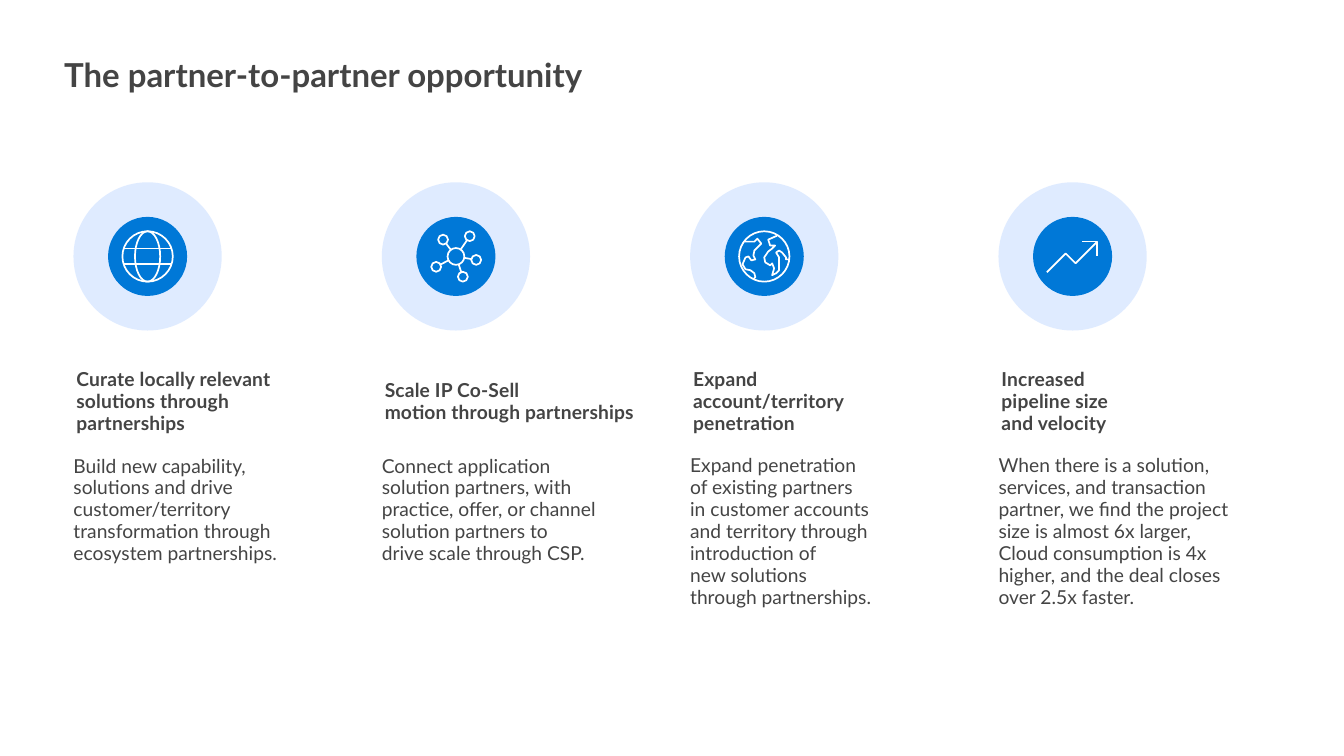
import math
import pptx
import pptx.util
import pptx.dml.color
import pptx.enum.shapes
import pptx.enum.text
import pptx.oxml.ns
import lxml.etree

WIDE, HIGH = 13.6, 7.65
TINT = {"text": "444444", "halo": "D4E5FF", "badge": "0078D7", "line": "FFFFFF"}
FONT = "Lato"
TITLE = "The partner-to-partner opportunity"

CARDS = [
    {"icon": "globe", "tall": 0.87, "wide": 2.47, "deep": 1.22,
     "head": "Curate locally relevant solutions through partnerships",
     "body": "Build new capability, solutions and drive customer/territory "
             "transformation through ecosystem partnerships."},
    {"icon": "links", "tall": 0.77, "wide": 2.3, "deep": 1.22,
     "head": "Scale IP Co-Sell\nmotion through partnerships",
     "body": "Connect application solution partners, with practice, offer, or channel "
             "solution partners to\ndrive scale through CSP."},
    {"icon": "earth", "tall": 0.87, "wide": 2.47, "deep": 1.67,
     "head": "Expand\naccount/territory penetration",
     "body": "Expand penetration\nof existing partners\nin customer accounts\n"
             "and territory through\nintroduction of\nnew solutions\nthrough partnerships."},
    {"icon": "trend", "tall": 0.87, "wide": 2.45, "deep": 1.67,
     "head": "Increased\npipeline size\nand velocity",
     "body": "When there is a solution, services, and transaction partner, we find the "
             "project size is almost 6x larger, Cloud consumption is 4x higher, and the "
             "deal closes over 2.5x faster."},
]

LEFT, PITCH = WIDE * 7 / 128, 3.12
HALO, BADGE = 1.5, 0.8
MID, HEAD, BODY = HALO * 1.73, 4.07, 4.56
RIM, HUB, NODE = 25.5, 8.5, 5
NODES = [(14, -20.5), (-13, -17), (-20, 10.5), (7, 20.5), (20.5, 3.5)]
WEST = [(-11, 23), (-9, 21), (-10, 17), (-14, 14), (-19, 13), (-22, 8), (-19, 1),
        (-16, 0), (-13, 4), (-9, 3), (-11, -1), (-10, -6), (-3, -13), (-7, -18),
        (-10, -15), (-20, -15)]
EAST = [(13, -21), (4, -17), (6, -11), (11, -11), (8, -8), (4, -5), (0, 1), (1, 6),
        (6, 9), (8, 7), (10, 12), (8, 19), (12, 17), (15, 14), (15, 1), (12, -4),
        (15, -6), (18, -4), (22, 1), (22, 3), (25, 3)]


def ring(x, y, wide, tall):
    bend = 0.55
    spots = [(1, 0)]
    for a, b in [(1, 0), (0, 1), (-1, 0), (0, -1)]:
        spots += [(a - b * bend, b + a * bend), (a * bend - b, b * bend + a), (-b, a)]
    return True, [(x + wide * a, y + tall * b) for a, b in spots]


def bent(*spots):
    return False, list(spots)


def link(x, y):
    span = math.hypot(x, y)
    return bent(*[(x * r / span, y * r / span) for r in (HUB, span - NODE)])


ICONS = {
    "globe": [ring(0, 0, RIM, RIM), ring(0, 0, RIM / 2, RIM),
              bent((-24, -8), (24, -8)), bent((-24, 8), (24, 8))],
    "links": [ring(0, 0, HUB, HUB)] + [ring(x, y, NODE, NODE) for x, y in NODES]
             + [link(x, y) for x, y in NODES],
    "earth": [ring(0, 0, RIM, RIM), bent(*WEST), bent(*EAST)],
    "trend": [bent((10, -15), (25, -15), (25, 0)),
              bent((-26, 16), (-7, -3), (3, 7), (25, -15))],
}

inch = pptx.util.Inches
qn = pptx.oxml.ns.qn
deck = pptx.Presentation()
deck.slide_width, deck.slide_height = inch(WIDE), inch(HIGH)
slide = deck.slides.add_slide(deck.slide_layouts[6])


def tone(name):
    return pptx.dml.color.RGBColor.from_string(TINT[name])


def text(words, x, y, wide, tall, size=14, bold=False, lead=0.95, top=0.05,
         base=0.05, right=0.1, dent=0, track=0, middle=False):
    box = slide.shapes.add_textbox(inch(x), inch(y), inch(wide), inch(tall))
    frame = box.text_frame
    frame.word_wrap = True
    frame.auto_size = pptx.enum.text.MSO_AUTO_SIZE.SHAPE_TO_FIT_TEXT
    frame.margin_left, frame.margin_right = 0, inch(right)
    frame.margin_top, frame.margin_bottom = inch(top), inch(base)
    anchor = pptx.enum.text.MSO_ANCHOR
    frame.vertical_anchor = anchor.MIDDLE if middle else anchor.TOP
    para = frame.paragraphs[0]
    para.text = words
    para.line_spacing = lead
    if dent:
        para._p.get_or_add_pPr().set("marL", str(inch(dent)))
    for run in para.runs:
        run.font.name, run.font.size = FONT, pptx.util.Pt(size)
        run.font.bold = bold
        run.font.color.rgb = tone("text")
        if track:
            run._r.get_or_add_rPr().set("spc", str(round(track * 100)))


def disc(home, kind, x, size, name):
    shape = home.add_shape(kind, inch(x - size / 2), inch(MID - size / 2),
                           inch(size), inch(size))
    shape.shadow.inherit = False
    shape.fill.solid()
    shape.fill.fore_color.rgb = tone(name)
    shape.line.fill.background()
    return shape


def curve(lines):
    for n in range(0, len(lines), 3):
        arc = lxml.etree.Element(qn("a:cubicBezTo"))
        lines[n].addprevious(arc)
        for line in lines[n:n + 3]:
            arc.append(line[0])
            line.getparent().remove(line)


def draw(home, strokes, x):
    fine = [[(a * 100, b * 100) for a, b in spots] for _, spots in strokes]
    pen = home.build_freeform(*fine[0][0], scale=inch(1) / 10000)
    for n, (closed, _) in enumerate(strokes):
        if n:
            pen.move_to(*fine[n][0])
        pen.add_line_segments(fine[n][1:], close=closed)
    shape = pen.convert_to_shape(inch(x), inch(MID))
    runs = []
    for part in shape._element.iter(qn("a:moveTo"), qn("a:lnTo")):
        if part.tag == qn("a:moveTo"):
            runs.append([])
        else:
            runs[-1].append(part)
    for (closed, _), lines in zip(strokes, runs):
        if closed:
            curve(lines)
    shape.shadow.inherit = False
    shape.fill.background()
    shape.line.color.rgb = tone("line")
    shape.line.width = pptx.util.Pt(1.25)


def main():
    kinds = pptx.enum.shapes.MSO_SHAPE
    spots = [LEFT + n * PITCH for n in range(len(CARDS))]
    for x in spots:
        halo = disc(slide.shapes, kinds.OVAL, x + HALO / 2, HALO, "halo")
        hue = halo._element.spPr.find(".//" + qn("a:srgbClr"))
        lxml.etree.SubElement(hue, qn("a:alpha")).set("val", "74000")
    for x, card in zip(spots, CARDS):
        home = slide.shapes.add_group_shape().shapes
        badge = disc(home, kinds.ROUNDED_RECTANGLE, x + HALO / 2, BADGE, "badge")
        badge.adjustments[0] = 0.5
        draw(home, ICONS[card["icon"]], x + HALO / 2)
    text(TITLE, 0.65, 0.53, 11.44, 0.43, size=24, bold=True, lead=0.9, top=0.07,
         base=0, right=0)
    for x, card in zip(spots, CARDS):
        text(card["head"], x, HEAD - card["tall"] / 2, 2.7, card["tall"],
             bold=True, dent=0.03, track=0.1, middle=True)
        text(card["body"], x, BODY, card["wide"], card["deep"])
    deck.save("out.pptx")


if __name__ == "__main__":
    main()
